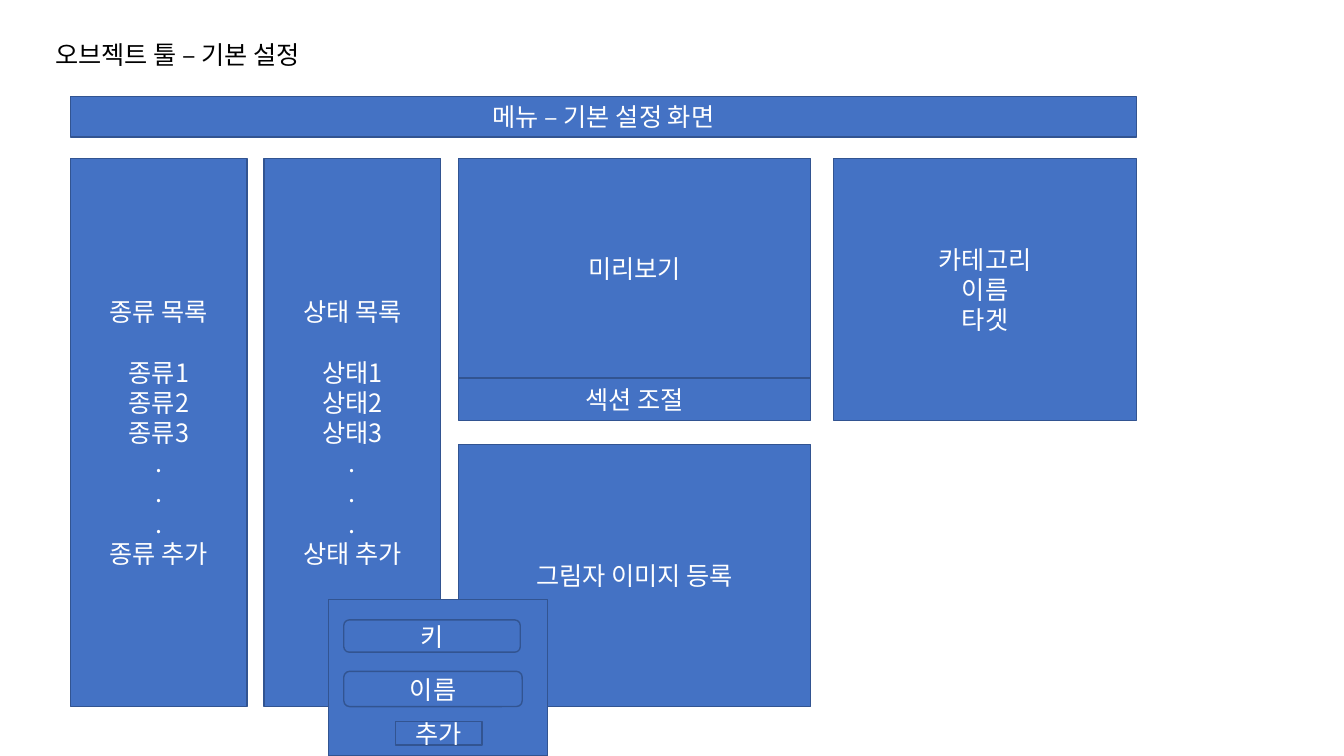
import pptx
import pptx.util
import pptx.dml.color
import pptx.enum.shapes
import pptx.enum.text
import pptx.oxml.ns
from lxml import etree

Inches = pptx.util.Inches
Pt = pptx.util.Pt
MSO_SHAPE = pptx.enum.shapes.MSO_SHAPE
PP_ALIGN = pptx.enum.text.PP_ALIGN
MSO_ANCHOR = pptx.enum.text.MSO_ANCHOR

BLUE = pptx.dml.color.RGBColor(0x44, 0x72, 0xC4)
DARK_BLUE = pptx.dml.color.RGBColor(0x32, 0x54, 0x91)
WHITE = pptx.dml.color.RGBColor(0xFF, 0xFF, 0xFF)
BLACK = pptx.dml.color.RGBColor(0, 0, 0)
FONT = "Noto Sans CJK KR"
LINE_HEIGHT = Pt(21.6)


def write(tf, lines, color=WHITE, align=PP_ALIGN.CENTER, heading_gap=0):
    for i, line in enumerate(lines):
        p = tf.paragraphs[0] if i == 0 else tf.add_paragraph()
        p.alignment = align
        p.line_spacing = LINE_HEIGHT
        if i == 0 and heading_gap:
            p.space_after = heading_gap
        r = p.add_run()
        r.text = line
        r.font.size = Pt(18)
        r.font.name = FONT
        r.font.color.rgb = color
        ea = etree.SubElement(r.font._element, pptx.oxml.ns.qn("a:ea"))
        ea.set("typeface", FONT)


def box(left, top, width, height, lines=(), kind=MSO_SHAPE.RECTANGLE, heading_gap=0):
    sp = s.shapes.add_shape(kind, Inches(left), Inches(top), Inches(width), Inches(height))
    sp.shadow.inherit = False
    sp.fill.solid()
    sp.fill.fore_color.rgb = BLUE
    sp.line.color.rgb = DARK_BLUE
    sp.line.width = Pt(1)
    tf = sp.text_frame
    tf.word_wrap = True
    tf.vertical_anchor = MSO_ANCHOR.MIDDLE
    write(tf, lines, heading_gap=heading_gap)


prs = pptx.Presentation()
prs.slide_width = Inches(13.33)
prs.slide_height = Inches(7.5)
s = prs.slides.add_slide(prs.slide_layouts[6])

title = s.shapes.add_textbox(Inches(0.45), Inches(0.34), Inches(3.05), Inches(0.4))
title.text_frame.word_wrap = False
title.text_frame.auto_size = pptx.enum.text.MSO_AUTO_SIZE.SHAPE_TO_FIT_TEXT
write(title.text_frame, ["오브젝트 툴 – 기본 설정"], color=BLACK, align=PP_ALIGN.LEFT)

box(0.7, 0.96, 10.57, 0.4, ["메뉴 – 기본 설정 화면"])

for left, name in [(0.7, "종류"), (2.62, "상태")]:
    items = [f"{name}{n}" for n in range(1, 4)]
    lines = [f"{name} 목록", *items, ".", ".", ".", f"{name} 추가"]
    box(left, 1.57, 1.75, 5.44, lines, heading_gap=LINE_HEIGHT)

for top, height, label in [
    (1.57, 2.19, "미리보기"),
    (3.75, 0.42, "섹션 조절"),
    (4.41, 2.6, "그림자 이미지 등록"),
]:
    box(4.55, top, 3.49, height, [label])

box(8.27, 1.57, 3, 2.6, ["카테고리", "이름", "타겟"])

box(3.26, 5.95, 2.17, 1.55)
box(3.41, 6.15, 1.75, 0.32, ["키"], kind=MSO_SHAPE.ROUNDED_RECTANGLE)
box(3.41, 6.66, 1.77, 0.35, ["이름"], kind=MSO_SHAPE.ROUNDED_RECTANGLE)
box(3.92, 7.16, 0.86, 0.23, ["추가"])

prs.save("out.pptx")
